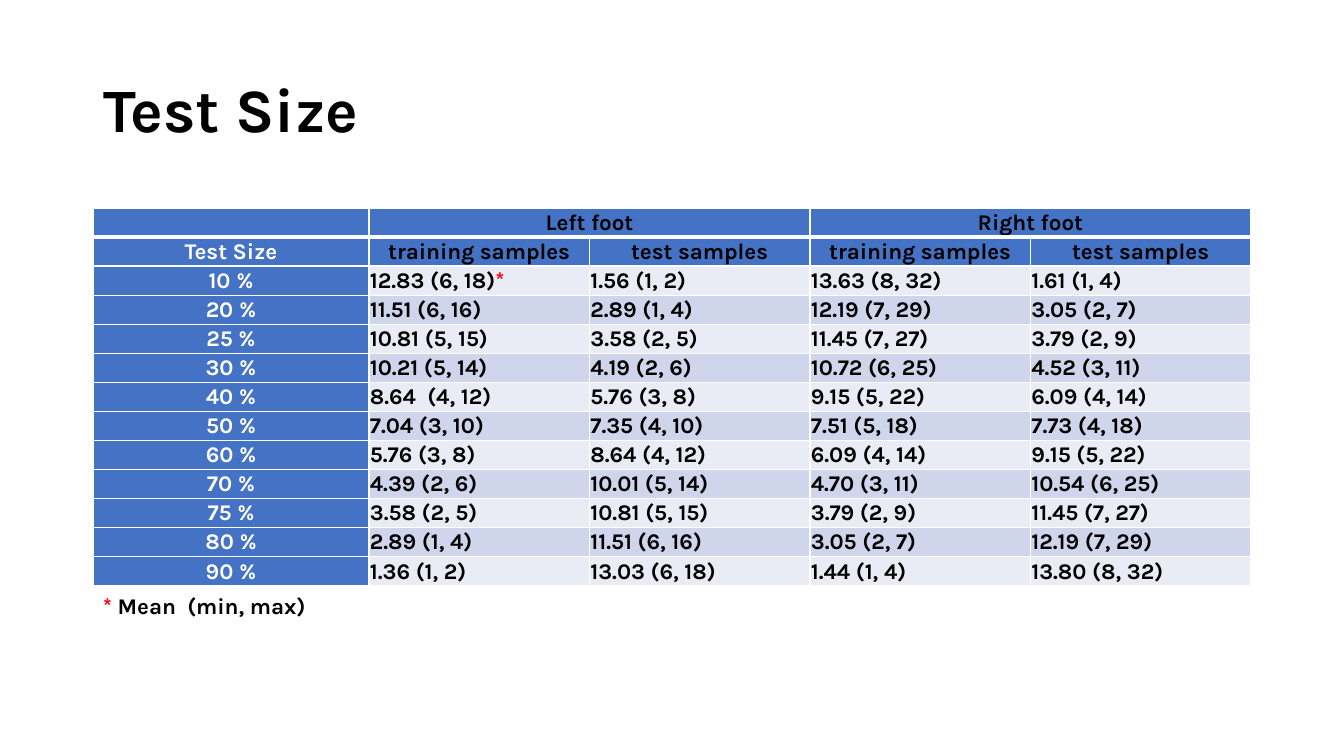
from lxml.etree import fromstring
from pptx import Presentation
from pptx.dml.color import RGBColor
from pptx.enum.text import MSO_ANCHOR as Anchor, MSO_AUTO_SIZE as AutoSize, PP_ALIGN as Align
from pptx.oxml.ns import nsdecls
from pptx.util import Emu, Pt

PAGE_WIDTH, PAGE_HEIGHT = 1344, 756
SCALE = 12192000 / PAGE_WIDTH
FONT = "Karla"
BLACK = RGBColor(0x00, 0x00, 0x00)
WHITE = RGBColor(0xFF, 0xFF, 0xFF)
RED = RGBColor(0xFF, 0x00, 0x00)
BLUE = RGBColor(0x44, 0x72, 0xC4)
BANDS = (RGBColor(0xE9, 0xEB, 0xF5), RGBColor(0xCF, 0xD5, 0xEA))

ROWS = [
    ("", "Left foot", "", "Right foot", ""),
    ("Test Size", "training samples", "test samples", "training samples", "test samples"),
    ("10 %", "12.83 (6, 18)*", "1.56 (1, 2)", "13.63 (8, 32)", "1.61 (1, 4)"),
    ("20 %", "11.51 (6, 16)", "2.89 (1, 4)", "12.19 (7, 29)", "3.05 (2, 7)"),
    ("25 %", "10.81 (5, 15)", "3.58 (2, 5)", "11.45 (7, 27)", "3.79 (2, 9)"),
    ("30 %", "10.21 (5, 14)", "4.19 (2, 6)", "10.72 (6, 25)", "4.52 (3, 11)"),
    ("40 %", "8.64  (4, 12)", "5.76 (3, 8)", "9.15 (5, 22)", "6.09 (4, 14)"),
    ("50 %", "7.04 (3, 10)", "7.35 (4, 10)", "7.51 (5, 18)", "7.73 (4, 18)"),
    ("60 %", "5.76 (3, 8)", "8.64 (4, 12)", "6.09 (4, 14)", "9.15 (5, 22)"),
    ("70 %", "4.39 (2, 6)", "10.01 (5, 14)", "4.70 (3, 11)", "10.54 (6, 25)"),
    ("75 %", "3.58 (2, 5)", "10.81 (5, 15)", "3.79 (2, 9)", "11.45 (7, 27)"),
    ("80 %", "2.89 (1, 4)", "11.51 (6, 16)", "3.05 (2, 7)", "12.19 (7, 29)"),
    ("90 %", "1.36 (1, 2)", "13.03 (6, 18)", "1.44 (1, 4)", "13.80 (8, 32)"),
]
HEADER_ROWS = 2


def px(length):
    """Turn a length in px into EMU."""
    return Emu(round(length * SCALE))


def write(para, text, size, color):
    """Set bold text in a paragraph, with any asterisk in red."""
    before, star, after = text.partition("*")
    for part, part_color in ((before, color), (star, RED), (after, color)):
        if part:
            span = para.add_run()
            span.text = part
            span.font.name = FONT
            span.font.size = Pt(size)
            span.font.bold = True
            span.font.color.rgb = part_color


def add_title(page, box):
    """Place the slide title in the box."""
    title = page.shapes.title
    title.left, title.top, title.width, title.height = map(px, box)
    frame = title.text_frame
    frame.vertical_anchor = Anchor.MIDDLE
    frame.auto_size = AutoSize.NONE
    para = frame.paragraphs[0]
    para.alignment = Align.LEFT
    para.line_spacing = 0.9
    write(para, "Test Size", 44, BLACK)


def set_borders(cell, widths):
    """Draw white cell borders, given widths in points by side."""
    for index, (side, width) in enumerate(widths.items()):
        border = fromstring(
            f'<a:ln{side} {nsdecls("a")} w="{Pt(width)}"><a:solidFill>'
            f'<a:srgbClr val="{WHITE}"/></a:solidFill></a:ln{side}>')
        cell._tc.get_or_add_tcPr().insert(index, border)


def fill_cell(cell, row, column, text):
    """Format one table cell according to its row and column."""
    header = row < HEADER_ROWS
    label = column == 0
    cell.fill.solid()
    cell.fill.fore_color.rgb = BLUE if header or label else BANDS[(row - HEADER_ROWS) % 2]
    cell.margin_left = cell.margin_right = cell.margin_top = px(1)
    cell.margin_bottom = 0
    cell.vertical_anchor = Anchor.MIDDLE
    para = cell.text_frame.paragraphs[0]
    para.alignment = Align.CENTER if header or label else Align.LEFT
    write(para, text, 16, WHITE if label else BLACK)
    if not text:
        para._p.get_or_add_endParaRPr().set("sz", "1600")
    set_borders(cell, {"L": 1, "R": 1, "T": 3 if row == 1 else 1, "B": 3 if row == 0 else 1})


def add_sample_table(page, box):
    """Place the table of sample counts per test size in the box."""
    left, top, width, height = box
    label_width = 276
    table = page.shapes.add_table(len(ROWS), len(ROWS[0]), *map(px, box)).table
    for index, column in enumerate(table.columns):
        column.width = px((width - label_width) / 4 if index else label_width)
    for row in table.rows:
        row.height = px(height / len(ROWS))
    for row, texts in enumerate(ROWS):
        for column, text in enumerate(texts):
            fill_cell(table.cell(row, column), row, column, text)
    for column in (1, 3):
        table.cell(0, column).merge(table.cell(0, column + 1))


def add_footnote(page, box):
    """Place the key to the asterisk in the box."""
    frame = page.shapes.add_textbox(*map(px, box)).text_frame
    frame.word_wrap = False
    frame.auto_size = AutoSize.SHAPE_TO_FIT_TEXT
    write(frame.paragraphs[0], "* Mean  (min, max)", 16, BLACK)


def main():
    """Build the slide and save it."""
    deck = Presentation()
    deck.slide_width, deck.slide_height = px(PAGE_WIDTH), px(PAGE_HEIGHT)
    page = deck.slides.add_slide(deck.slide_layouts[5])
    add_title(page, (93, 40, 1158, 146))
    add_sample_table(page, (93, 208, 1158, 378))
    add_footnote(page, (93, 587, 224, 37))
    deck.save("out.pptx")


if __name__ == "__main__":
    main()
